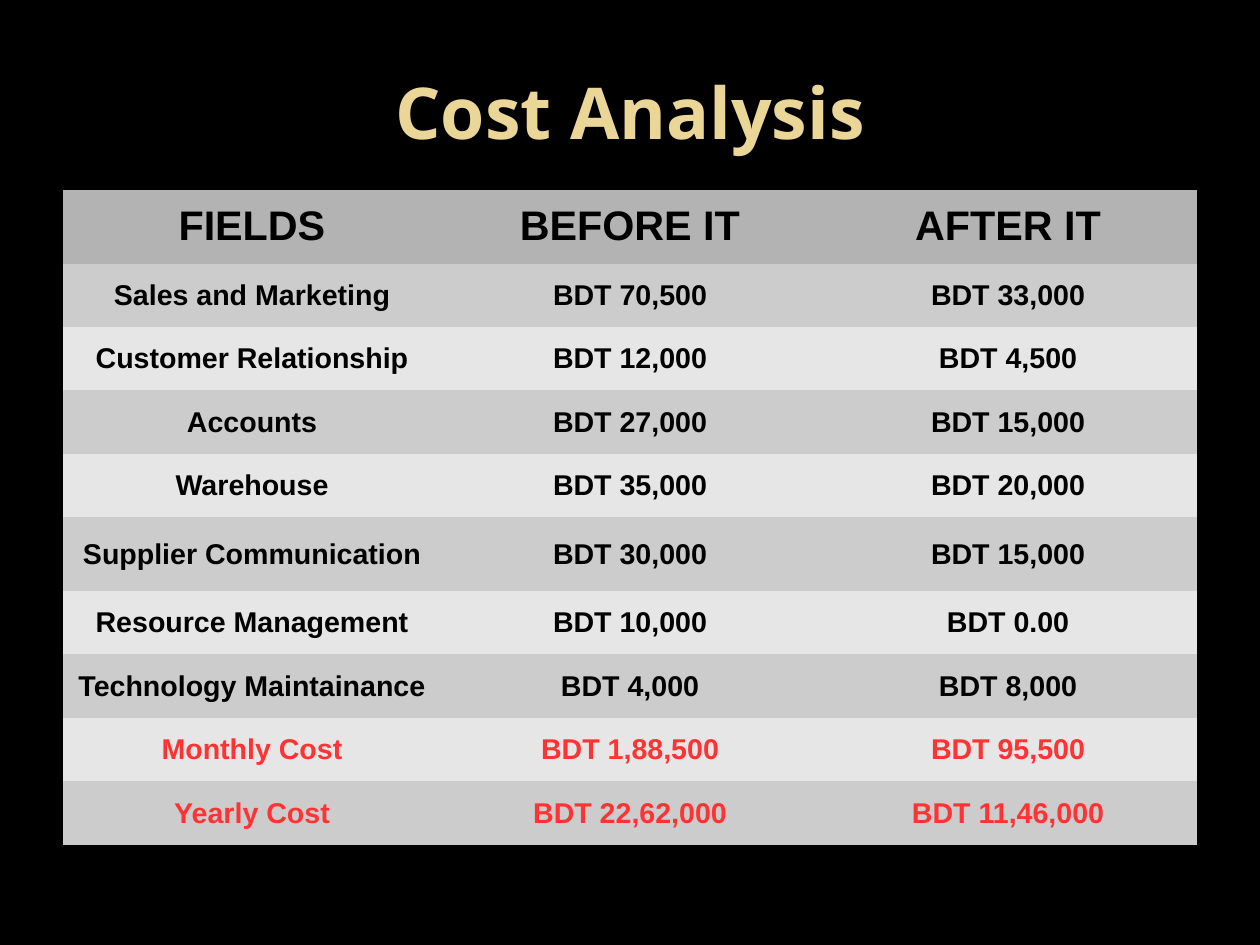
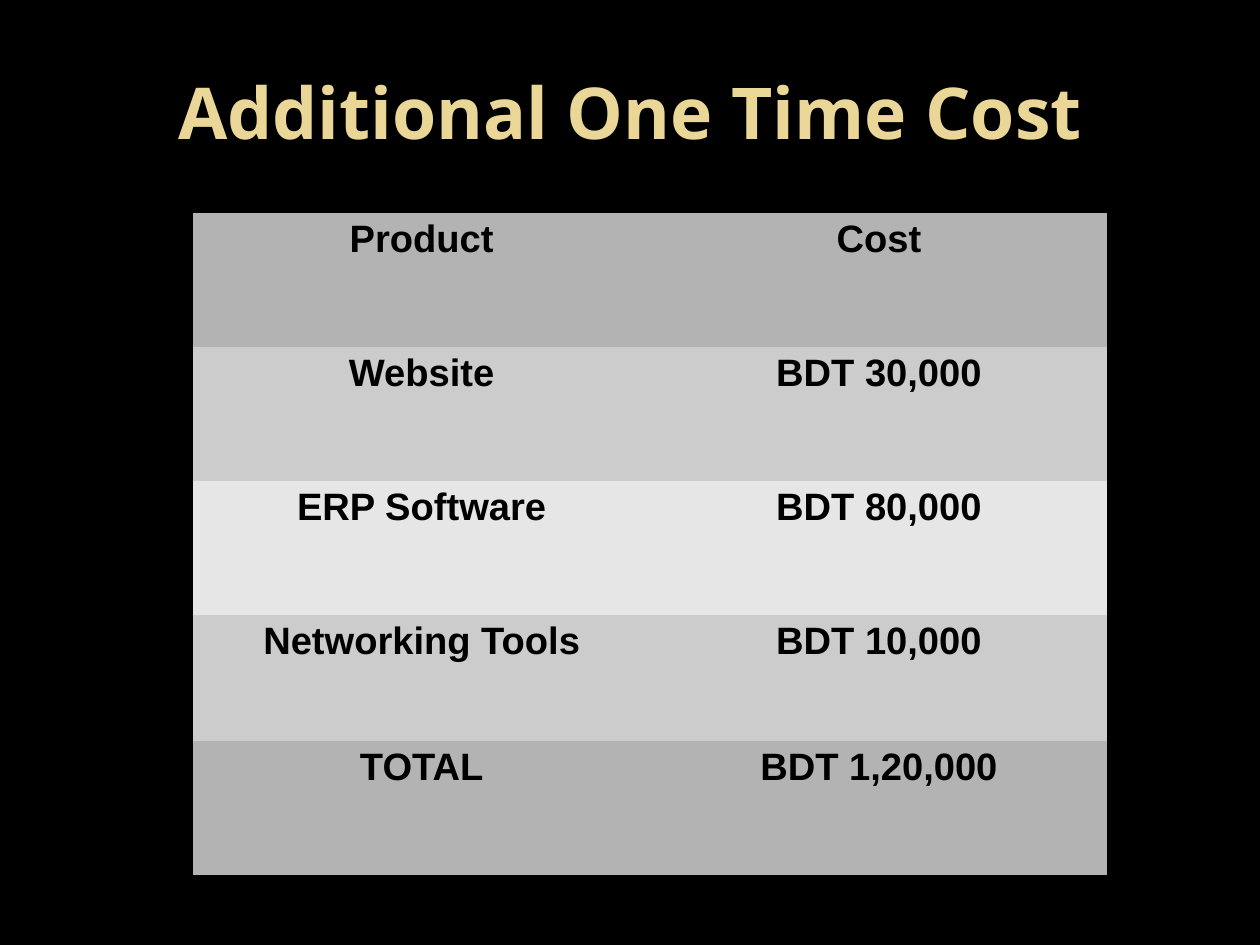
from lxml.etree import SubElement
from pptx import Presentation
from pptx.dml.color import RGBColor
from pptx.enum.text import MSO_ANCHOR, MSO_AUTO_SIZE, PP_ALIGN
from pptx.oxml.ns import qn
from pptx.util import Pt

BLACK, WHITE, GOLD, RED = "000000", "FFFFFF", "EAD696", "FF3333"
HEADER_FILL, BAND_FILLS = "B3B3B3", ("CCCCCC", "E6E6E6")
TITLE_BOX = dict(left=39.7, top=23.8, width=714.4, height=99.4)
TITLE_FRAME = dict(margin_left=Pt(7.9), margin_right=Pt(7.9), margin_top=Pt(0.7),
                   margin_bottom=Pt(4.3), vertical_anchor=MSO_ANCHOR.MIDDLE,
                   auto_size=MSO_AUTO_SIZE.NONE, word_wrap=True)
CELL_MARGINS = dict(margin_left=Pt(7.2), margin_right=Pt(7.2),
                    margin_top=Pt(5.1), margin_bottom=Pt(3.6))

COSTS = [
    ("FIELDS", "BEFORE IT", "AFTER IT"),
    ("Sales and Marketing", "BDT 70,500", "BDT 33,000"),
    ("Customer Relationship", "BDT 12,000", "BDT 4,500"),
    ("Accounts", "BDT 27,000", "BDT 15,000"),
    ("Warehouse", "BDT 35,000", "BDT 20,000"),
    ("Supplier Communication", "BDT 30,000", "BDT 15,000"),
    ("Resource Management", "BDT 10,000", "BDT 0.00"),
    ("Technology Maintainance", "BDT 4,000", "BDT 8,000"),
    ("Monthly Cost", "BDT 1,88,500", "BDT 95,500"),
    ("Yearly Cost", "BDT 22,62,000", "BDT 11,46,000"),
]
COST_HEIGHTS = [46.3 if i in (0, 5) else 40 for i in range(len(COSTS))]
PRODUCTS = [
    ("Product", "Cost"),
    ("Website", "BDT 30,000"),
    ("ERP Software", "BDT 80,000"),
    ("Networking Tools", "BDT 10,000"),
]
TOTAL = [("TOTAL", "BDT 1,20,000")]


def set_attrs(obj, values):
    for name, value in values.items():
        setattr(obj, name, value)


def rgb(hex_color):
    return RGBColor.from_string(hex_color)


def write(tf, text, font, size, color, spacing):
    """Fill a text frame with one bold, centred paragraph."""
    p = tf.paragraphs[0]
    set_attrs(p, dict(alignment=PP_ALIGN.CENTER, line_spacing=spacing))
    r = p.add_run()
    r.text = text
    set_attrs(r.font, dict(name=font, size=Pt(size), bold=True))
    r.font.color.rgb = rgb(color)


def set_borders(cell):
    """Give the cell hairline borders in place of those of the table style."""
    tcPr = cell._tc.get_or_add_tcPr()
    for side in ("lnL", "lnR", "lnT", "lnB"):
        ln = SubElement(tcPr, qn(f"a:{side}"), w=str(Pt(0.03)))
        fill = SubElement(ln, qn("a:solidFill"))
        SubElement(fill, qn("a:srgbClr"), val=WHITE)


def add_titled_slide(prs, title):
    s = prs.slides.add_slide(prs.slide_layouts.get_by_name("Title Only"))
    sp = s.shapes.title
    set_attrs(sp, {name: Pt(value) for name, value in TITLE_BOX.items()})
    set_attrs(sp.text_frame, TITLE_FRAME)
    write(sp.text_frame, title, "Open Sans", 45, GOLD, 0.98)
    return s


def add_cost_table(s, rows, left, top, width, heights, sizes, anchor, red_rows=0):
    """Add a banded table; sizes are for header and body, red_rows counts from the end."""
    n_cols = len(rows[0])
    table = s.shapes.add_table(len(rows), n_cols, Pt(left), Pt(top),
                               Pt(width), Pt(sum(heights))).table
    table.horz_banding = False
    for i, values in enumerate(rows):
        table.rows[i].height = Pt(heights[i])
        size = sizes[min(i, 1)]
        band = BAND_FILLS[(i - 1) % 2] if i else HEADER_FILL
        color = RED if i >= len(rows) - red_rows else BLACK
        for j, text in enumerate(values):
            cell = table.cell(i, j)
            set_attrs(cell, CELL_MARGINS)
            cell.vertical_anchor = anchor
            set_borders(cell)
            cell.fill.solid()
            cell.fill.fore_color.rgb = rgb(band)
            write(cell.text_frame, text, "Arial", size, color, 0.93)


def main():
    prs = Presentation()
    set_attrs(prs, dict(slide_width=Pt(793.7), slide_height=Pt(595.3)))
    background = prs.slide_master.background.fill
    background.solid()
    background.fore_color.rgb = rgb(BLACK)

    s = add_titled_slide(prs, "Cost Analysis")
    add_cost_table(s, COSTS, 39.7, 119.7, 714.4, COST_HEIGHTS, (26, 18),
                   MSO_ANCHOR.MIDDLE, red_rows=2)

    s = add_titled_slide(prs, "Additional One Time Cost")
    for rows, top in ((PRODUCTS, 134.2), (TOTAL, 466.7)):
        add_cost_table(s, rows, 121.6, top, 576, [84.5] * len(rows), (24, 24),
                       MSO_ANCHOR.TOP)

    prs.save("out.pptx")


if __name__ == "__main__":
    main()
